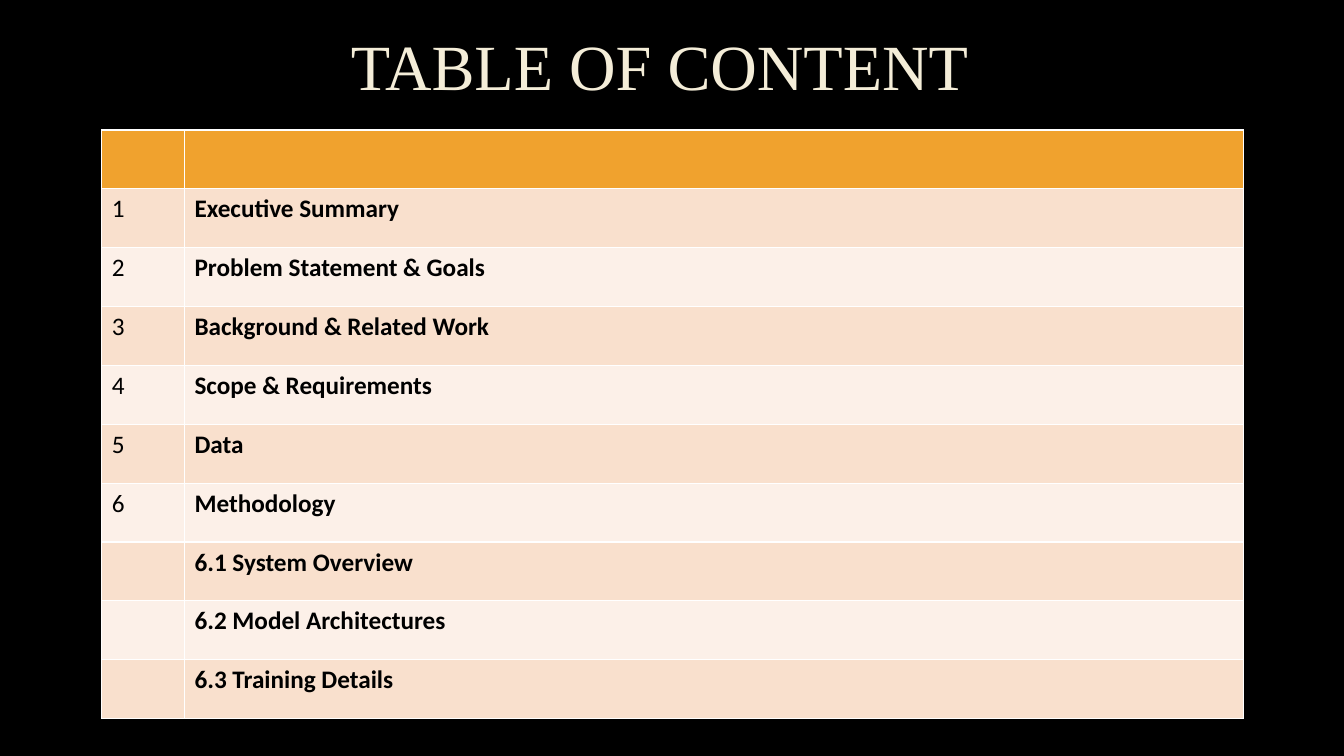
from lxml import etree
from pptx import Presentation
from pptx.dml.color import RGBColor
from pptx.enum.text import MSO_ANCHOR, PP_ALIGN
from pptx.oxml import parse_xml
from pptx.util import Inches, Pt

CENTER = PP_ALIGN.CENTER
MIDDLE = MSO_ANCHOR.MIDDLE

TITLE = "TABLE OF CONTENT"
CONTENTS = [
    ("", ""),
    ("1", "Executive Summary"),
    ("2", "Problem Statement & Goals"),
    ("3", "Background & Related Work"),
    ("4", "Scope & Requirements"),
    ("5", "Data"),
    ("6", "Methodology"),
    ("", "6.1 System Overview"),
    ("", "6.2 Model Architectures"),
    ("", "6.3 Training Details"),
]
COLUMN_WIDTHS = (0.82, 10.5)
TABLE_HEIGHT = 5.84
COLORS = {
    "background": "000000",
    "title": "F4EDD8",
    "outline": "404040",
    "header": "F0A22E",
    "odd row": "F9E0CD",
    "even row": "FCF0E8",
    "text": "000000",
}
DRAWING = "http://schemas.openxmlformats.org/drawingml/2006/main"


def color(name):
    return RGBColor.from_string(COLORS[name])


def row_color(index):
    if index == 0:
        return color("header")
    return color("odd row" if index % 2 else "even row")


deck = Presentation()
deck.slide_width, deck.slide_height = Inches(13.33), Inches(7.5)
page = deck.slides.add_slide(deck.slide_layouts[5])
page.background.fill.solid()
page.background.fill.fore_color.rgb = color("background")

# Title
title = page.shapes.title
title.left, title.top = Inches(0.88), Inches(0)
title.width, title.height = Inches(11.32), Inches(1.38)
title.text_frame.vertical_anchor = MIDDLE
para = title.text_frame.paragraphs[0]
para.alignment = CENTER
para.line_spacing = 0.9
span = para.add_run()
span.text = TITLE
span.font.name = "Times New Roman"
span.font.size = Pt(46)
span.font.color.rgb = color("title")

# Faint outline around the title letters
outline = parse_xml(
    f'<a:ln xmlns:a="{DRAWING}" w="{Pt(0.75)}"><a:solidFill>'
    f'<a:srgbClr val="{COLORS["outline"]}"><a:alpha val="10000"/></a:srgbClr>'
    '</a:solidFill><a:prstDash val="solid"/></a:ln>'
)
span.font.fill  # the outline goes ahead of the fill
properties = span._r.get_or_add_rPr()
properties.insert(0, outline)
etree.cleanup_namespaces(properties)

# Contents table; its default style draws the white rules
table = page.shapes.add_table(
    len(CONTENTS), len(COLUMN_WIDTHS),
    Inches(1.01), Inches(1.29), Inches(sum(COLUMN_WIDTHS)), Inches(TABLE_HEIGHT),
).table
for column, width in zip(table.columns, COLUMN_WIDTHS):
    column.width = Inches(width)

for row_index, entry in enumerate(CONTENTS):
    for column_index, text in enumerate(entry):
        cell = table.cell(row_index, column_index)
        cell.fill.solid()
        cell.fill.fore_color.rgb = row_color(row_index)
        cell.text = text
        font = cell.text_frame.paragraphs[0].font
        font.name = "Calibri"
        font.size = Pt(18)
        font.bold = column_index == 1
        font.color.rgb = color("text")

deck.save("out.pptx")
